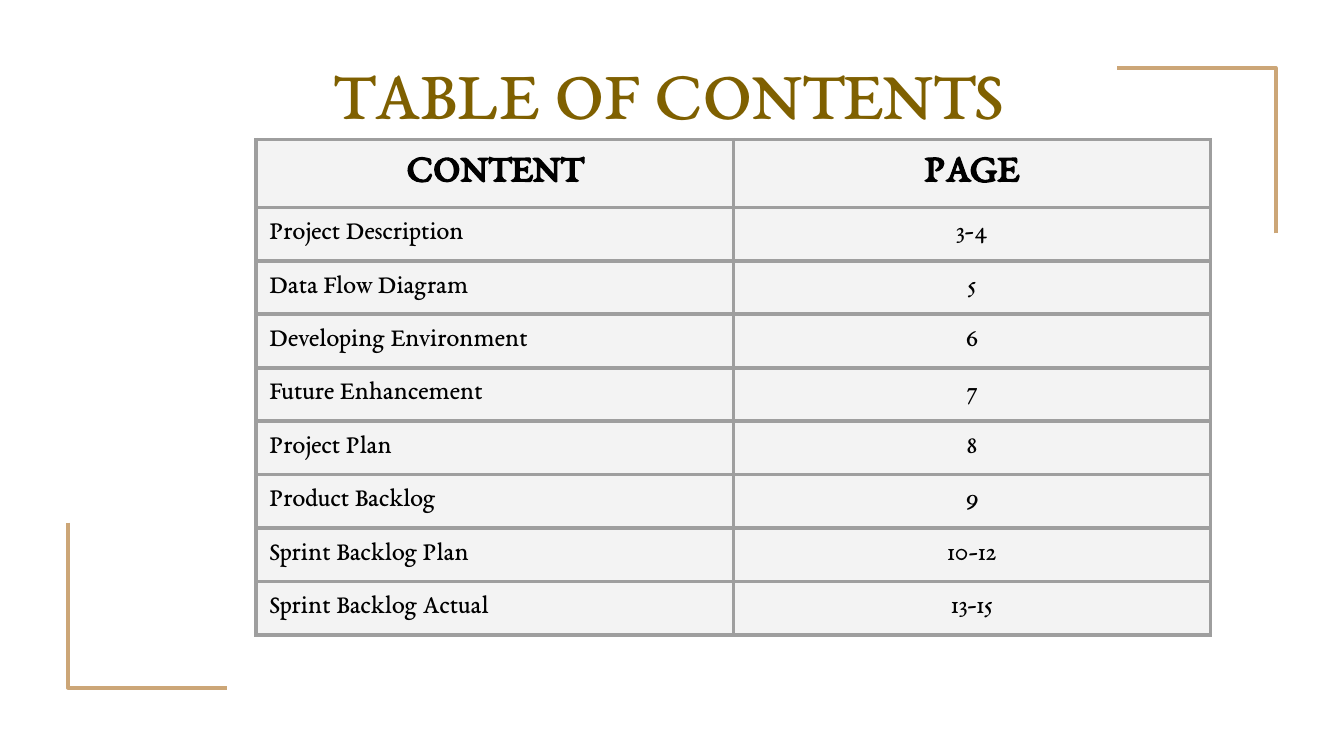
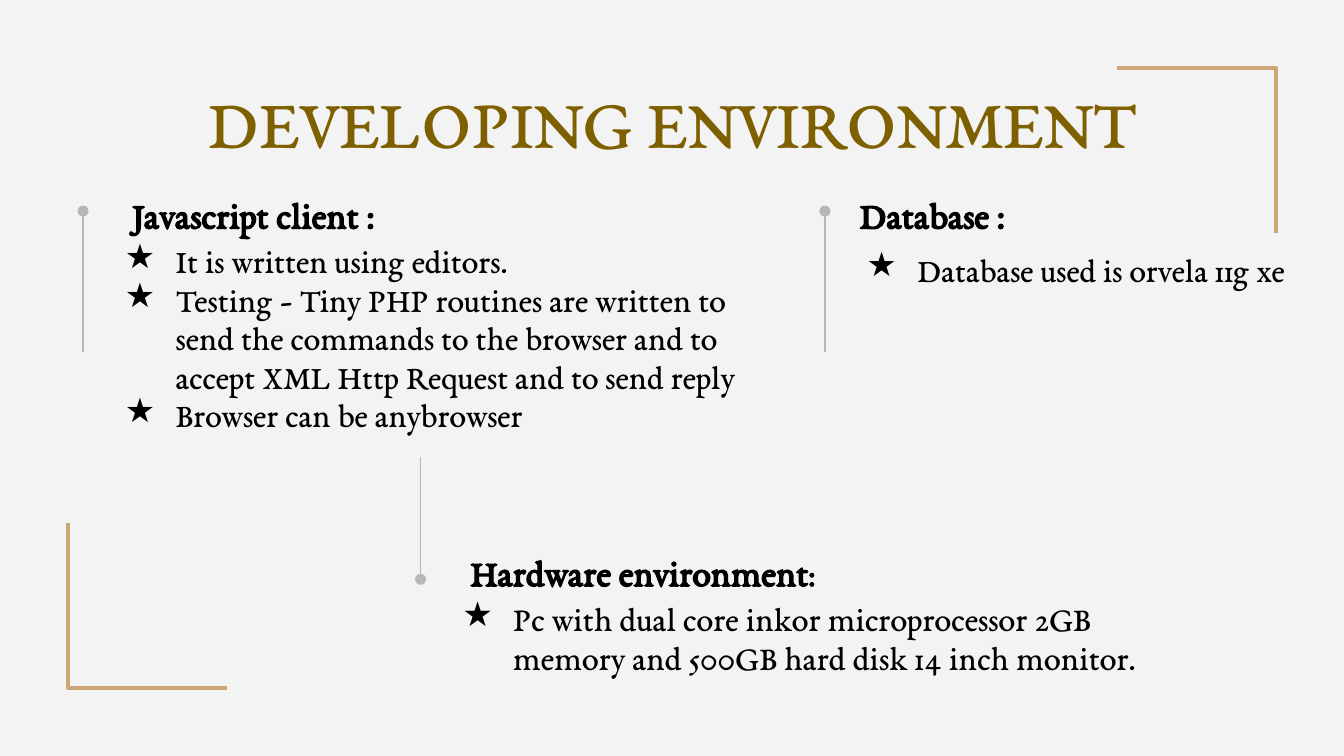
from lxml import etree
from pptx import Presentation
from pptx import util as u
from pptx.dml.color import RGBColor
from pptx.enum import shapes, text
from pptx.oxml.ns import qn

COLORS = {
    "white": "FFFFFF",
    "paper": "F3F3F3",
    "title": "7F6000",
    "ink": "000000",
    "corner": "CCA677",
    "pin": "B7B7B7",
    "grid": "9E9E9E",
}
FONT = "EB Garamond"
SLIDE_W, SLIDE_H = 25.4, 14.29
INSET = u.Cm(0.25)
CENTER = text.PP_ALIGN.CENTER
LEFT = text.PP_ALIGN.LEFT
TOP = text.MSO_ANCHOR.TOP
MIDDLE = text.MSO_ANCHOR.MIDDLE

CONTENTS = [
    ("CONTENT", "PAGE"),
    ("Project Description", "3-4"),
    ("Data Flow Diagram", "5"),
    ("Developing Environment", "6"),
    ("Future Enhancement", "7"),
    ("Project Plan", "8"),
    ("Product Backlog", "9"),
    ("Sprint Backlog Plan", "10-12"),
    ("Sprint Backlog Actual", "13-15"),
]

TOPICS = [
    dict(
        box=(1.8, 4.34, 13.36, 4.85),
        heading=[("Javascript client :", 20.1)],
        heading_span=(-0.23, 6.43),
        points=[
            "It is written using editors.",
            "Testing - Tiny PHP routines are written to send the commands to "
            "the browser and to accept XML Http Request and to send reply",
            "Browser can be anybrowser",
        ],
        size=18.1, spacing=0.95, pin=(2.31, -0.35),
    ),
    dict(
        box=(8.18, 11.1, 14.91, 1.6),
        heading=[("Hardware environment", 20.1), (":", 17.1)],
        heading_span=(-1.47, 10.87),
        points=["Pc with dual core inkor microprocessor 2GB memory "
                "and 500GB hard disk 14 inch monitor."],
        size=18.3, spacing=0.95, pin=(-2.46, -0.15),
    ),
    dict(
        box=(15.82, 4.34, 10.01, 1.6),
        heading=[("Database :", 20.1)],
        heading_span=(-1.47, 6.53),
        points=["Database used is orvela 11g xe"],
        size=18, spacing=1.15, pin=(2.31, -0.35),
    ),
]


def rgb(name):
    return RGBColor.from_string(COLORS[name])


def style_run(run, size, color="ink", bold=False):
    run.font.name = FONT
    run.font.size = u.Pt(size)
    run.font.bold = bold
    run.font.color.rgb = rgb(color)


def add_frame(slide, box, anchor=TOP):
    frame = slide.shapes.add_textbox(*map(u.Cm, box)).text_frame
    frame.word_wrap = True
    frame.vertical_anchor = anchor
    frame.margin_left = frame.margin_right = INSET
    frame.margin_top = frame.margin_bottom = INSET
    return frame


def add_corner(slide, points):
    start, *rest = [(u.Cm(x), u.Cm(y)) for x, y in points]
    builder = slide.shapes.build_freeform(*start)
    builder.add_line_segments(rest, close=False)
    corner = builder.convert_to_shape()
    corner.shadow.inherit = False
    corner.fill.background()
    corner.line.color.rgb = rgb("corner")
    corner.line.width = u.Pt(2.25)


def start_slide(deck, background):
    slide = deck.slides.add_slide(deck.slide_layouts[6])
    slide.background.fill.solid()
    slide.background.fill.fore_color.rgb = rgb(background)
    inset, width, height = 1.29, 3.0, 3.12
    right, bottom = SLIDE_W - inset, SLIDE_H - inset
    add_corner(slide, [(right, inset + height), (right, inset), (right - width, inset)])
    add_corner(slide, [(inset, bottom - height), (inset, bottom), (inset + width, bottom)])
    return slide


def add_title(slide, title, box, anchor):
    heading = add_frame(slide, box, anchor).paragraphs[0]
    heading.text = title
    heading.alignment = CENTER
    style_run(heading.runs[0], 38, "title")


def set_borders(cell):
    properties = cell._tc.get_or_add_tcPr()
    for place, side in enumerate(("a:lnL", "a:lnR", "a:lnT", "a:lnB")):
        border = etree.Element(qn(side), w=str(u.Pt(2.25)))
        fill = etree.SubElement(border, qn("a:solidFill"))
        etree.SubElement(fill, qn("a:srgbClr"), val=COLORS["grid"])
        properties.insert(place, border)


def add_contents(slide, left, top, width):
    header_height, row_height = 1.28, 1.01
    height = header_height + row_height * (len(CONTENTS) - 1)
    contents = slide.shapes.add_table(
        len(CONTENTS), 2, *map(u.Cm, (left, top, width, height))).table
    contents.first_row = contents.horz_banding = False
    for column in contents.columns:
        column.width = u.Cm(width / 2)
    for r, entry in enumerate(CONTENTS):
        is_header = r == 0
        contents.rows[r].height = u.Cm(header_height if is_header else row_height)
        for c, words in enumerate(entry):
            cell = contents.cell(r, c)
            cell.fill.solid()
            cell.fill.fore_color.rgb = rgb("paper")
            cell.margin_left = cell.margin_right = INSET
            cell.margin_top = cell.margin_bottom = INSET
            set_borders(cell)
            line = cell.text_frame.paragraphs[0]
            line.text = words
            line.alignment = CENTER if is_header or c == 1 else LEFT
            style_run(line.runs[0], 21 if is_header else 14, bold=is_header)


def add_star(paragraph):
    properties = paragraph._p.get_or_add_pPr()
    properties.set("marL", str(u.Cm(1.27)))
    properties.set("indent", str(u.Cm(-0.96)))
    color = etree.SubElement(properties, qn("a:buClr"))
    etree.SubElement(color, qn("a:srgbClr"), val=COLORS["ink"])
    etree.SubElement(properties, qn("a:buFont"), typeface=FONT)
    etree.SubElement(properties, qn("a:buChar"), char="★")


def add_pin(slide, x, start_y, dot_y):
    pin = slide.shapes.add_connector(
        shapes.MSO_CONNECTOR.STRAIGHT, *map(u.Cm, (x, start_y, x, dot_y)))
    pin.line.color.rgb = rgb("pin")
    pin.line.width = u.Pt(0.75)
    etree.SubElement(pin.line._get_or_add_ln(), qn("a:tailEnd"), type="oval")
    etree.SubElement(pin._element.spPr, qn("a:effectLst"))


def add_topic(slide, box, heading, heading_span, points, size, spacing, pin):
    left, top = box[:2]
    add_pin(slide, left - 0.23, top + pin[0], top + pin[1])

    shift, width = heading_span
    title = add_frame(slide, (left + shift, top - 0.91, width, 1.09), MIDDLE).paragraphs[0]
    title.alignment = CENTER
    title.line_spacing = 1.15
    title.space_before = u.Pt(5)
    for words, heading_size in heading:
        run = title.add_run()
        run.text = words
        style_run(run, heading_size, bold=True)

    frame = add_frame(slide, box)
    frame.text = "\n".join(points)
    for i, point in enumerate(frame.paragraphs):
        point.alignment = LEFT
        point.line_spacing = spacing
        point.space_before = u.Pt(0 if i else 5)
        add_star(point)
        style_run(point.runs[0], size)


def build_contents_slide(deck):
    slide = start_slide(deck, "white")
    add_contents(slide, 4.84, 2.64, 18.04)
    add_title(slide, "TABLE OF CONTENTS", (-0.15, 0.66, 25.55, 2.13), TOP)


def build_environment_slide(deck):
    slide = start_slide(deck, "paper")
    add_title(slide, "DEVELOPING ENVIRONMENT", (0, 0.15, SLIDE_W, 4.24), MIDDLE)
    for topic in TOPICS:
        add_topic(slide, **topic)


def main():
    deck = Presentation()
    deck.slide_width, deck.slide_height = u.Cm(SLIDE_W), u.Cm(SLIDE_H)
    build_contents_slide(deck)
    build_environment_slide(deck)
    deck.save("out.pptx")


if __name__ == "__main__":
    main()
